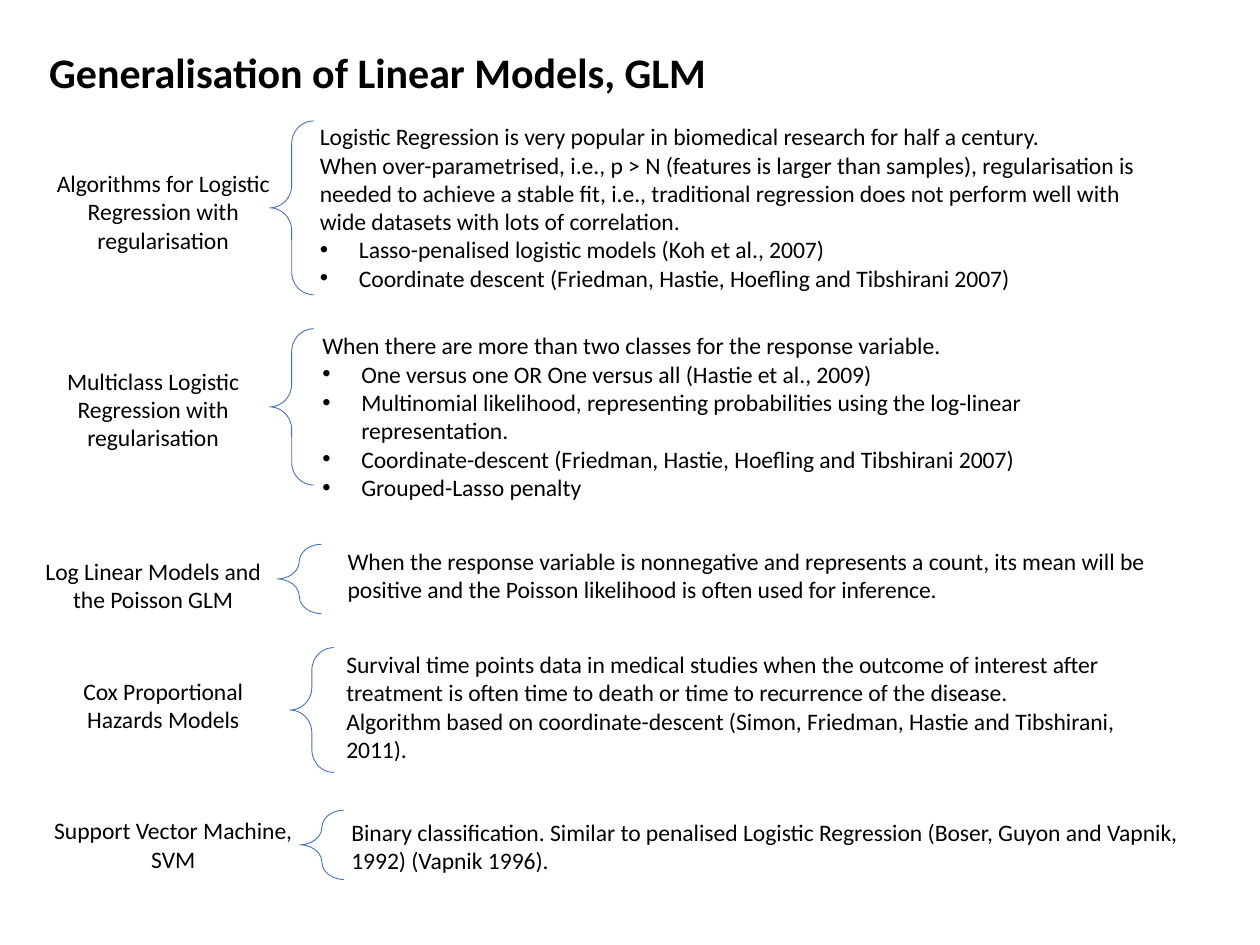
from lxml import etree
from pptx import Presentation
from pptx.dml.color import RGBColor
from pptx.enum import shapes, text
from pptx.oxml.ns import qn
from pptx.util import Inches, Pt

BULLET = "• "
INDENT = Inches(0.31)
BODY = {"name": "Calibri", "size": Pt(13.5), "bold": False}
HEADING = {"name": "Calibri", "size": Pt(24), "bold": True}

MODELS = [
    {
        "label": "Algorithms for Logistic Regression with regularisation",
        "label_box": (0.29, 1.29, 2.01, 0.81),
        "brace_box": (2.14, 0.96, 0.35, 1.38),
        "detail_box": (2.44, 0.92, 6.91, 1.46),
        "details": [
            "Logistic Regression is very popular in biomedical research for half a century.",
            "When over-parametrised, i.e., p > N (features is larger than samples), "
            "regularisation is needed to achieve a stable fit, i.e., traditional regression "
            "does not perform well with wide datasets with lots of correlation.",
            "• Lasso-penalised logistic models (Koh et al., 2007)",
            "• Coordinate descent (Friedman, Hastie, Hoefling and Tibshirani 2007)",
        ],
    },
    {
        "label": "Multiclass Logistic Regression with regularisation",
        "label_box": (0.11, 2.86, 2.21, 0.81),
        "brace_box": (2.14, 2.61, 0.35, 1.24),
        "detail_box": (2.46, 2.58, 6.44, 1.46),
        "details": [
            "When there are more than two classes for the response variable.",
            "• One versus one OR One versus all (Hastie et al., 2009)",
            "• Multinomial likelihood, representing probabilities using the log-linear "
            "representation.",
            "• Coordinate-descent (Friedman, Hastie, Hoefling and Tibshirani 2007)",
            "• Grouped-Lasso penalty",
        ],
    },
    {
        "label": "Log Linear Models and the Poisson GLM",
        "label_box": (0.21, 4.37, 2.01, 0.57),
        "brace_box": (2.2, 4.32, 0.35, 0.55),
        "detail_box": (2.66, 4.29, 6.79, 0.57),
        "details": [
            "When the response variable is nonnegative and represents a count, its mean "
            "will be positive and the Poisson likelihood is often used for inference.",
        ],
    },
    {
        "label": "Cox Proportional Hazards Models",
        "label_box": (0.29, 5.32, 2.01, 0.57),
        "brace_box": (2.3, 5.14, 0.35, 0.99),
        "detail_box": (2.65, 5.11, 6.76, 1.05),
        "details": [
            "Survival time points data in medical studies when the outcome of interest "
            "after treatment is often time to death or time to recurrence of the disease.",
            "Algorithm based on coordinate-descent (Simon, Friedman, Hastie and "
            "Tibshirani, 2011).",
        ],
    },
    {
        "label": "Support Vector Machine, SVM",
        "label_box": (0.27, 6.43, 2.21, 0.57),
        "brace_box": (2.38, 6.43, 0.35, 0.55),
        "detail_box": (2.69, 6.44, 6.76, 0.57),
        "details": [
            "Binary classification. Similar to penalised Logistic Regression (Boser, "
            "Guyon and Vapnik, 1992) (Vapnik 1996).",
        ],
    },
]


def paint(target, colour):
    target.rgb = RGBColor.from_string(colour)


def to_inches(box):
    return [Inches(length) for length in box]


def add_bullet(para):
    props = para._p.get_or_add_pPr()
    props.set("marL", str(INDENT))
    props.set("indent", str(-INDENT))
    etree.SubElement(props, qn("a:buFont")).set("typeface", "Arial")
    etree.SubElement(props, qn("a:buChar")).set("char", BULLET.strip())


def fill_frame(frame, lines, font, align=text.PP_ALIGN.LEFT):
    frame.word_wrap = True
    frame.vertical_anchor = text.MSO_ANCHOR.TOP
    frame.auto_size = text.MSO_AUTO_SIZE.SHAPE_TO_FIT_TEXT
    for index, line in enumerate(lines):
        para = frame.paragraphs[0] if index == 0 else frame.add_paragraph()
        para.alignment = align
        if line.startswith(BULLET):
            add_bullet(para)
        span = para.add_run()
        span.text = line.removeprefix(BULLET)
        for name, value in font.items():
            setattr(span.font, name, value)
        paint(span.font.color, "000000")


def place_title(page, box, wording):
    title = page.shapes.title
    title.left, title.top, title.width, title.height = to_inches(box)
    fill_frame(title.text_frame, [wording], HEADING)


def add_text(page, box, lines, align=text.PP_ALIGN.LEFT):
    frame = page.shapes.add_textbox(*to_inches(box)).text_frame
    fill_frame(frame, lines, BODY, align)


def add_brace(page, box):
    brace = page.shapes.add_shape(shapes.MSO_SHAPE.LEFT_BRACE, *to_inches(box))
    brace.shadow.inherit = False
    brace.adjustments[0] = 0.514
    brace.fill.background()
    brace.line.width = Pt(0.5)
    paint(brace.line.color, "4472C4")


def add_model(page, model):
    add_text(page, model["label_box"], [model["label"]], text.PP_ALIGN.CENTER)
    add_text(page, model["detail_box"], model["details"])
    add_brace(page, model["brace_box"])


def main():
    deck = Presentation()
    deck.slide_width, deck.slide_height = Inches(10), Inches(7.5)
    page = deck.slides.add_slide(deck.slide_layouts.get_by_name("Title Only"))
    place_title(page, (0.29, 0.32, 5.76, 0.5), "Generalisation of Linear Models, GLM")
    for model in MODELS:
        add_model(page, model)
    deck.save("out.pptx")


if __name__ == "__main__":
    main()
